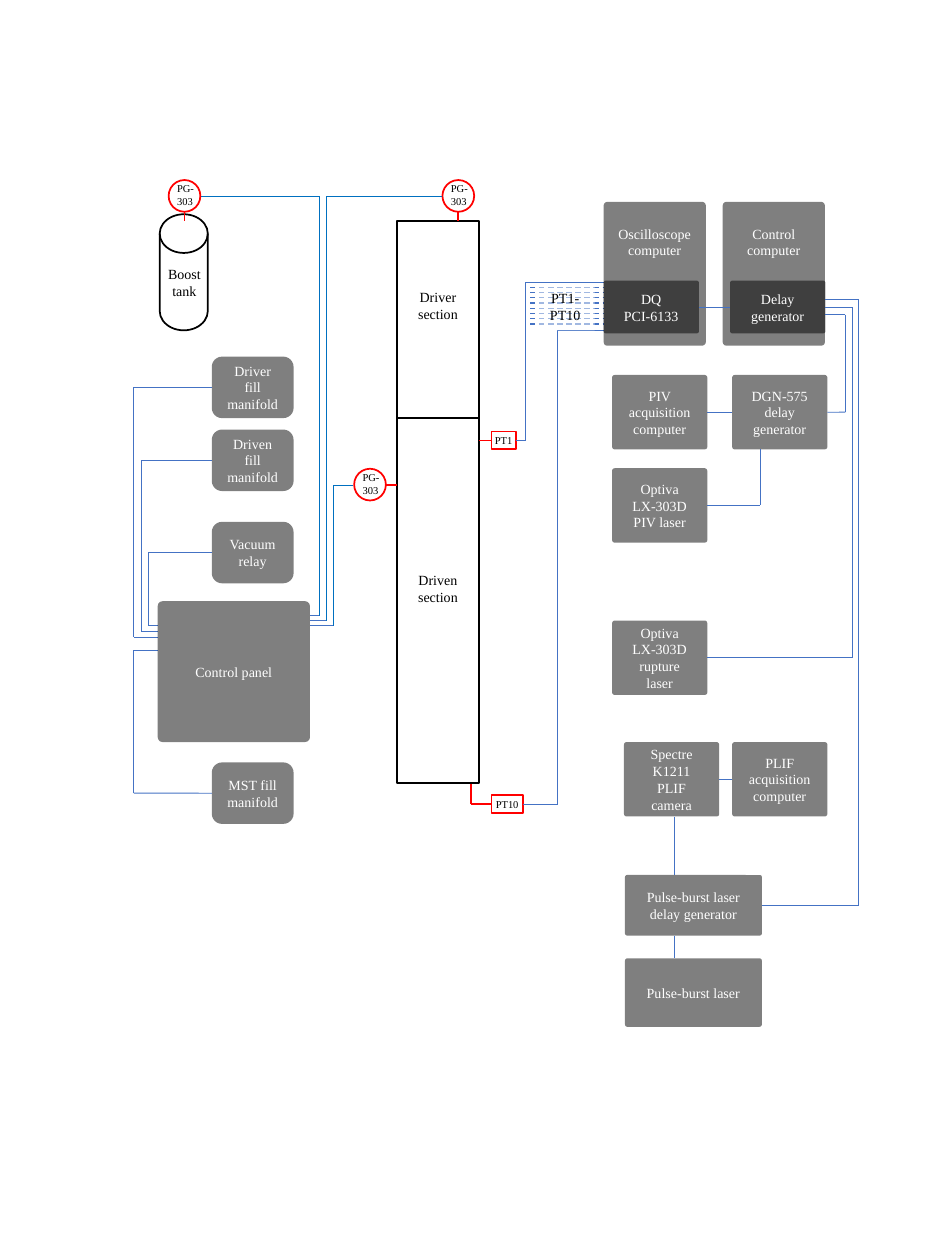
from dataclasses import dataclass
from typing import Any

from lxml.etree import SubElement
from pptx import Presentation
from pptx.dml.color import RGBColor
from pptx.enum.dml import MSO_LINE
from pptx.enum.shapes import MSO_CONNECTOR, MSO_SHAPE
from pptx.enum.text import MSO_ANCHOR, PP_ALIGN
from pptx.oxml.ns import qn
from pptx.util import Cm, Pt

FONT = "Times New Roman"
BLACK, WHITE, RED, BLUE, CYAN = "000000", "FFFFFF", "FF0000", "4472C4", "0070C0"
LEFT, RIGHT = 1, 3
STEM_DOWN = ((0.32, 0.64), (0.32, 0.82))
STEM_RIGHT = ((0.64, 0.32), (0.87, 0.32))


@dataclass
class Box:
    """A region of the page; its parts are placed in cm from its corner."""
    page: Any
    left: float
    top: float

    def frame(self, x, y, width, height):
        """Return left, top, width and height on the page."""
        return Cm(self.left + x), Cm(self.top + y), Cm(width), Cm(height)


@dataclass
class Port:
    """A side of a shape to which a wire is joined."""
    shape: Any
    site: int

    def position(self):
        """Return the middle of the left or right side."""
        shape = self.shape
        x = shape.left + (shape.width if self.site == RIGHT else 0)
        return x, shape.top + shape.height // 2


def color(value):
    """Turn a hex string into a colour."""
    return RGBColor.from_string(value)


def write(shape, text, size=8, ink=BLACK, align=PP_ALIGN.CENTER,
          anchor=MSO_ANCHOR.MIDDLE, wrap=True):
    """Fill a shape with formatted text."""
    frame = shape.text_frame
    frame.text = text
    frame.word_wrap = wrap
    frame.vertical_anchor = anchor
    for para in frame.paragraphs:
        para.alignment = align
        for span in para.runs:
            span.font.name = FONT
            span.font.size = Pt(size)
            span.font.color.rgb = color(ink)


def add_label(box, place, text, **style):
    """Add a text box."""
    label = box.page.shapes.add_textbox(*box.frame(*place))
    write(label, text, anchor=MSO_ANCHOR.TOP, **style)
    return label


def paint(shape, fill, opacity=100):
    """Give a shape a solid fill, see-through below 100 percent."""
    shape.fill.solid()
    shape.fill.fore_color.rgb = color(fill)
    if opacity < 100:
        tint = shape.element.spPr.find(qn("a:solidFill"))[0]
        SubElement(tint, qn("a:alpha")).set("val", str(opacity * 1000))


def add_outline(box, kind, place, line, fill=None):
    """Add a shape with a 1 pt outline."""
    shape = box.page.shapes.add_shape(kind, *box.frame(*place))
    shape.shadow.inherit = False
    if fill:
        paint(shape, fill)
    else:
        shape.fill.background()
    shape.line.color.rgb = color(line)
    shape.line.width = Pt(1)
    return shape


def add_block(box, place, text, corner=0.035):
    """Add a grey rounded block with white text."""
    block = box.page.shapes.add_shape(MSO_SHAPE.ROUNDED_RECTANGLE, *box.frame(*place))
    block.adjustments[0] = corner
    block.shadow.inherit = False
    block.line.fill.background()
    paint(block, BLACK, 50)
    write(block, text, ink=WHITE)
    return block


def add_wire(box, *stops, ink=BLUE, width=0.5, dash=None):
    """Run straight connectors through points and ports."""
    spots = [stop.position() if isinstance(stop, Port) else box.frame(*stop, 0, 0)[:2]
             for stop in stops]
    for i in range(len(stops) - 1):
        start, end = stops[i:i + 2]
        wire = box.page.shapes.add_connector(MSO_CONNECTOR.STRAIGHT, *spots[i], *spots[i + 1])
        if isinstance(start, Port):
            wire.begin_connect(start.shape, start.site)
        if isinstance(end, Port):
            wire.end_connect(end.shape, end.site)
        wire.line.color.rgb = color(ink)
        wire.line.width = Pt(width)
        if dash:
            wire.line.dash_style = dash
        SubElement(wire.element.spPr, qn("a:effectLst"))


def add_gauge(box, x, y, stem):
    """Add a round pressure gauge with its stem."""
    add_label(box, (x - 0.08, y - 0.08, 0.86, 0.76), "PG-303", size=6, align=PP_ALIGN.LEFT)
    add_outline(box, MSO_SHAPE.OVAL, (x, y, 0.64, 0.64), RED)
    add_wire(box, *((x + dx, y + dy) for dx, dy in stem), ink=RED, width=1)


def draw_tube(box):
    """Draw the driver and driven sections with their gauges."""
    for y, height, name, text_y in ((0.95, 3.98, "Driver", 2.19), (4.93, 7.36, "Driven", 7.9)):
        add_outline(box, MSO_SHAPE.RECTANGLE, (1, y, 1.66, height), BLACK, WHITE)
        add_label(box, (1.17, text_y, 1.32, 0.94), f"{name}\nsection", wrap=False)
    add_gauge(box, 1.92, 0.13, STEM_DOWN)
    add_gauge(box, 0.14, 5.95, STEM_RIGHT)


def draw_filling(box):
    """Draw the boost tank, manifolds and control panel with their wires."""
    gauge_ends = ((1.56, 0.46), (6.42, 0.46), (4.61, 6.28))
    for i, (x, y) in enumerate(gauge_ends):
        lane, entry = 3.94 + 0.14 * i, 8.91 + 0.1 * i
        add_wire(box, (x, y), (lane, y), (lane, entry), ink=CYAN)
        add_wire(box, (lane, entry), (3.75, entry))
    add_outline(box, MSO_SHAPE.FLOWCHART_MAGNETIC_DISK, (0.72, 0.82, 0.97, 2.34), BLACK, WHITE)
    add_gauge(box, 0.9, 0.13, STEM_DOWN)
    add_label(box, (0.6, 1.73, 1.24, 0.94), "Boost\ntank", wrap=False)

    manifolds = (("Driver fill manifold", 3.69, 0.2, 9.35),
                 ("Driven fill manifold", 5.16, 0.35, 9.23),
                 ("Vacuum relay", 7.02, 0.49, 9.11),
                 ("MST fill manifold", 11.87, 0.2, 9.61))
    for name, y, lane, entry in manifolds:
        manifold = add_block(box, (1.77, y, 1.65, 1.24), name, corner=0.167)
        add_wire(box, Port(manifold, LEFT), (lane, y + 0.62), (lane, entry), (0.68, entry))
    add_block(box, (0.68, 8.62, 3.07, 2.84), "Control panel")


def draw_signals(box):
    """Draw the pressure transducers and their signal bundle."""
    transducers = (("PT1", 3.2, 0.49, ((0.16, 3.38),), 1.09, 0.19),
                   ("PT10", 10.53, 0.63, ((0, 10.3), (0, 10.71)), 1.74, 1.16))
    for name, y, width, lead, lane, entry in transducers:
        tag = add_outline(box, MSO_SHAPE.RECTANGLE, (0.41, y, width, 0.36), RED, WHITE)
        write(tag, name, size=6, wrap=False)
        add_wire(box, *lead, Port(tag, LEFT), ink=RED, width=1)
        add_wire(box, Port(tag, RIGHT), (lane, y + 0.18), (lane, entry), (2.67, entry))
    for i in range(8):
        y = 0.29 + 0.74 / 7 * i
        add_wire(box, (1.19, y), (2.67, y), width=0.75, dash=MSO_LINE.DASH)
    paint(add_label(box, (1.3, 0.22, 1.19, 0.94), "PT1-\nPT10"), WHITE, 50)


def draw_instruments(box):
    """Draw the computers, lasers and cameras with their trigger wires."""
    cards = []
    for name, x, card, card_x in (("Oscilloscope computer", 0.17, "DQ\nPCI-6133", 0.17),
                                  ("Control computer", 2.57, "Delay generator", 2.72)):
        computer = add_block(box, (x, 0.07, 2.06, 2.9), name)
        computer.text_frame.vertical_anchor = MSO_ANCHOR.TOP
        computer.text_frame.margin_top = Cm(0.45)
        cards.append(add_block(box, (card_x, 1.66, 1.92, 1.06), card))
    oscilloscope_card, delay_card = cards

    modules = (("DGN-575\ndelay generator", 2.76, 3.56), ("PIV acquisition computer", 0.34, 3.56),
               ("Optiva\nLX-303D\nPIV laser", 0.34, 5.44),
               ("Optiva\nLX-303D\nrupture laser", 0.34, 8.51),
               ("Spectre K1211 PLIF camera", 0.58, 10.96), ("PLIF acquisition computer", 2.76, 10.96))
    delay, piv, piv_laser, rupture, camera, plif = (
        add_block(box, (x, y, 1.92, 1.5), name) for name, x, y in modules)
    pulse = add_block(box, (0.6, 13.64, 2.76, 1.22), "Pulse-burst laser delay generator")
    add_block(box, (0.6, 15.32, 2.76, 1.38), "Pulse-burst laser")

    for left, right in ((oscilloscope_card, delay_card), (piv, delay), (camera, plif)):
        add_wire(box, Port(left, RIGHT), Port(right, LEFT))
    triggers = (((4.64, 2.34), 2.34, 5.04, delay, 4.31),
                (Port(delay_card, RIGHT), 2.19, 5.18, rupture, 9.26),
                ((4.64, 2.04), 2.04, 5.31, pulse, 14.25))
    for start, y, lane, target, target_y in triggers:
        add_wire(box, start, (lane, y), (lane, target_y), Port(target, RIGHT))
    add_wire(box, (3.32, 5.06), (3.32, 6.19), Port(piv_laser, RIGHT))
    add_wire(box, (1.6, 12.46), (1.6, 13.64))
    add_wire(box, (1.6, 14.86), (1.6, 15.32))


def main():
    """Build the one-page deck."""
    deck = Presentation()
    deck.slide_width, deck.slide_height = Cm(19.05), Cm(25.4)
    page = deck.slides.add_slide(deck.slide_layouts[6])
    draw_tube(Box(page, 7, 3.5))
    draw_filling(Box(page, 2.5, 3.5))
    draw_signals(Box(page, 9.5, 5.5))
    draw_instruments(Box(page, 12, 4))
    deck.save("out.pptx")


if __name__ == "__main__":
    main()
